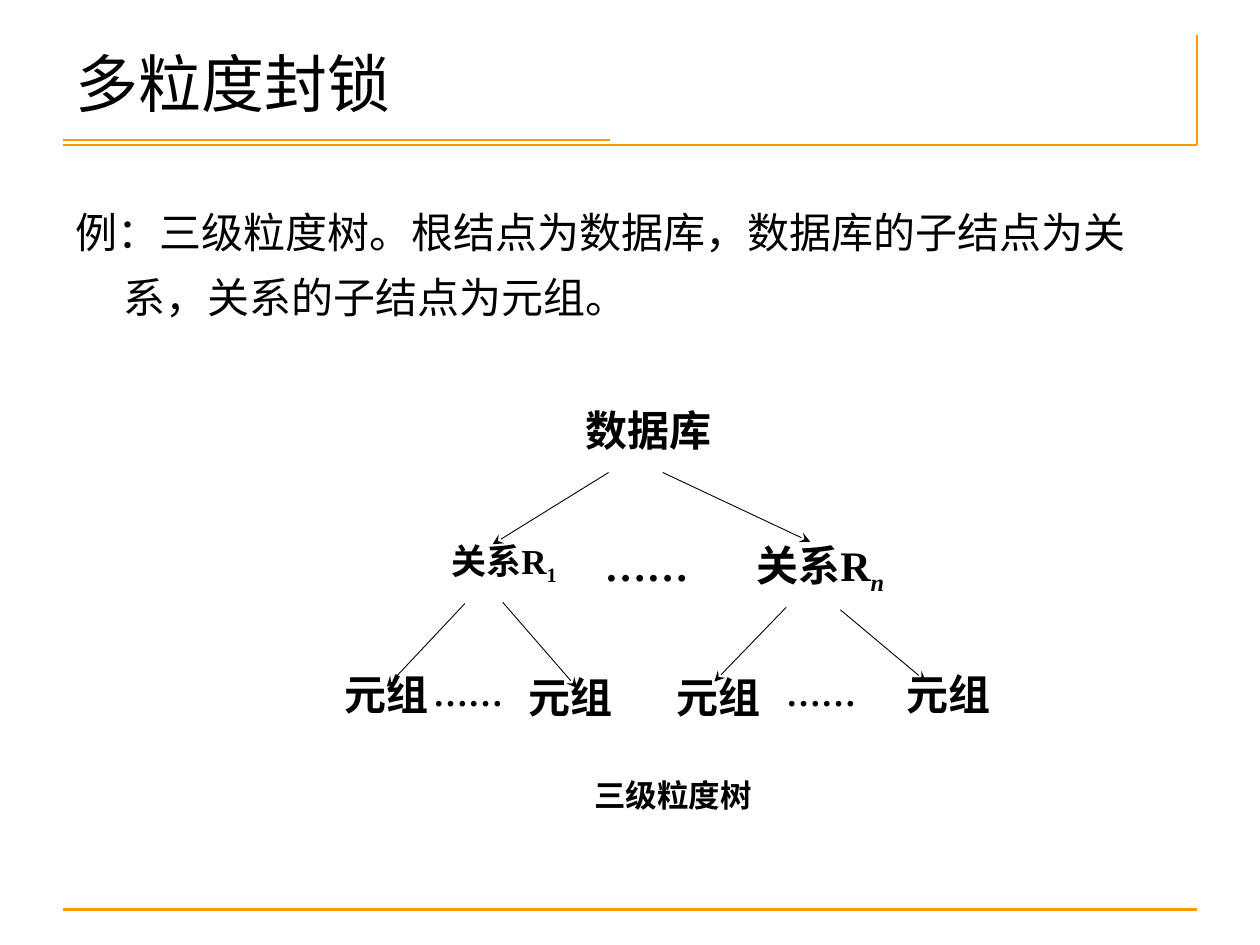
import pptx
import pptx.dml.color
import pptx.enum.shapes
import pptx.enum.text
import pptx.oxml.ns
import pptx.util
from lxml import etree

Inches = pptx.util.Inches
Align = pptx.enum.text.PP_ALIGN
COLORS = {"orange": "FF9900", "black": "000000"}
SERIF, SANS, CHINESE = "Times New Roman", "Arial", "Noto Sans CJK SC"


def color(name):
    return pptx.dml.color.RGBColor.from_string(COLORS[name])


def add_drawing_element(parent, tag, **attributes):
    return etree.SubElement(parent, pptx.oxml.ns.qn(tag), **attributes)


def add_line(slide, start, end, line_color="orange", width=1.5, arrow=False):
    connector = slide.shapes.add_connector(
        pptx.enum.shapes.MSO_CONNECTOR.STRAIGHT,
        *(Inches(value) for value in (*start, *end)))
    connector.line.color.rgb = color(line_color)
    connector.line.width = pptx.util.Pt(width)
    if arrow:
        add_drawing_element(connector.line._get_or_add_ln(), "a:tailEnd", type="stealth")
    add_drawing_element(connector._element.spPr, "a:effectLst")


def style_paragraph(paragraph, size, font=SERIF, bold=False, align=Align.LEFT, spacing=None):
    paragraph.alignment = align
    paragraph.line_spacing = spacing
    paragraph.font.size = pptx.util.Pt(size)
    paragraph.font.name = font
    paragraph.font.bold = bold
    paragraph.font.color.rgb = color("black")
    add_drawing_element(paragraph.font._element, "a:ea", typeface=CHINESE)


def add_text(slide, box, text, size, wrap=True, **style):
    shape = slide.shapes.add_textbox(*(Inches(value) for value in box))
    shape.text_frame.word_wrap = wrap
    paragraph = shape.text_frame.paragraphs[0]
    paragraph.add_run().text = text
    style_paragraph(paragraph, size, **style)
    return paragraph


def set_hanging_indent(paragraph):
    properties = paragraph._p.get_or_add_pPr()
    properties.set("marL", str(Inches(0.38)))
    properties.set("indent", str(Inches(-0.38)))


def add_frame(slide, left, top, width, height):
    """Rules above and below the content, with a corner at the top right."""
    right, bottom, corner = left + width, top + height, top + 0.87
    add_line(slide, (left, bottom), (right, bottom))
    add_line(slide, (left, corner), (right, corner))
    add_line(slide, (right, top), (right, corner))
    add_line(slide, (left, corner - 0.04), (left + 4.34, corner - 0.04))


def add_tree(slide, left, top):
    """Three levels of granularity: database, relations, tuples."""
    def place(x, y):
        return left + x, top + y

    arrows = [
        ((2.33, 0.56), (1.41, 1.13)), ((2.76, 0.56), (3.93, 1.11)),
        ((1.19, 1.6), (0.57, 2.26)), ((1.49, 1.59), (2.08, 2.27)),
        ((3.74, 1.63), (3.17, 2.22)), ((4.17, 1.65), (4.85, 2.22)),
    ]
    for start, end in arrows:
        add_line(slide, place(*start), place(*end), "black", 0.5, arrow=True)

    nodes = [
        # x, y, width, text, subscript, size
        (1.93, 0, 1.44, "数据库", "", 24),
        (0.66, 1.04, 1.68, "关系R", "1", 20),
        (3.28, 1.04, 1.46, "关系R", "n", 24),
        (0, 2.09, 1.14, "元组", "", 24),
        (1.46, 2.12, 1.14, "元组", "", 24),
        (2.63, 2.12, 1.14, "元组", "", 24),
        (4.31, 2.09, 1.44, "元组", "", 24),
    ]
    for x, y, width, text, subscript, size in nodes:
        paragraph = add_text(slide, (*place(x, y), width, 0.59), text, size,
                             bold=True, align=Align.CENTER, spacing=0.96)
        if subscript:
            run = paragraph.add_run()
            run.text = subscript
            run.font._element.set("baseline", "-25000")
            if subscript == "n":
                run.font.italic = True

    for x, y, size in [(2.2, 1.07, 24), (0.84, 2.11, 20), (3.64, 2.11, 20)]:
        add_text(slide, (*place(x, y), 1.2, 0.48), "……", size, bold=True,
                 align=Align.JUSTIFY, spacing=0.96)

    add_text(slide, (*place(1.74, 2.92), 2.2, 0.4), "三级粒度树", 18,
             wrap=False, bold=True, align=Align.CENTER)


def main():
    presentation = pptx.Presentation()
    presentation.slide_width, presentation.slide_height = Inches(10), Inches(7.5)
    slide = presentation.slides.add_slide(presentation.slide_layouts[6])
    add_frame(slide, 0.5, 0.28, 9, 6.94)
    add_text(slide, (0.5, 0.3, 9, 0.85), "多粒度封锁", 36)
    example = add_text(
        slide, (0.5, 1.47, 8.8, 1.3),
        "例：三级粒度树。根结点为数据库，数据库的子结点为关系，关系的子结点为元组。",
        24, font=SANS, spacing=1.3)
    set_hanging_indent(example)
    add_tree(slide, 2.5, 3.19)
    presentation.save("out.pptx")


if __name__ == "__main__":
    main()
